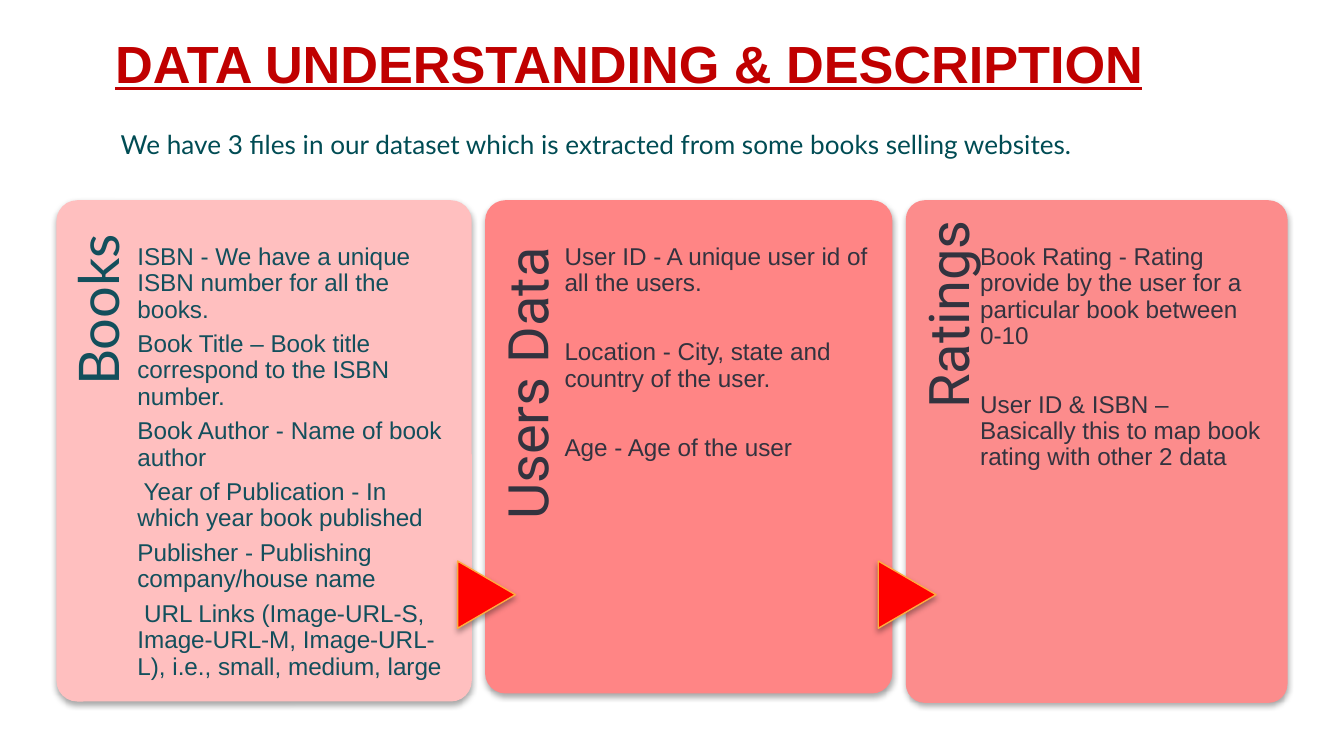
import dataclasses

import lxml.etree
import pptx
import pptx.dml.color
import pptx.enum.shapes
import pptx.enum.text
import pptx.oxml.ns
import pptx.util

SHAPE = pptx.enum.shapes.MSO_SHAPE
ALIGN = pptx.enum.text.PP_ALIGN


@dataclasses.dataclass(frozen=True)
class Theme:
    title: str = "C00000"
    intro: str = "004C54"
    teal: str = "134F5C"
    slate: str = "33333F"
    arrow: str = "FF0000"
    arrow_line: str = "FFAB40"
    title_size: float = 28
    label_size: float = 30
    intro_size: float = 14
    body_size: float = 13


theme = Theme()
presentation = pptx.Presentation()
presentation.slide_width = pptx.util.Inches(10)
presentation.slide_height = presentation.slide_width * 9 // 16
slide = presentation.slides.add_slide(presentation.slide_layouts[5])

# Square grid: one cell is a hundredth of the slide's width
cell = presentation.slide_width / 100


def write_text(shape, paragraphs, box, *, size, color, font="Arial", bold=None,
               underline=None, align=ALIGN.LEFT, spacing=None, after=0,
               insets=(1, 0.5, 1, 0.5)):
    """Place a text shape on the grid and fill it with formatted paragraphs."""
    shape.left, shape.top, shape.width, shape.height = (int(n * cell) for n in box)
    frame = shape.text_frame
    frame.word_wrap = True
    frame.auto_size = pptx.enum.text.MSO_AUTO_SIZE.NONE
    frame.vertical_anchor = pptx.enum.text.MSO_ANCHOR.TOP
    (frame.margin_left, frame.margin_top,
     frame.margin_right, frame.margin_bottom) = (int(n * cell) for n in insets)
    for index, text in enumerate(paragraphs):
        paragraph = frame.paragraphs[0] if index == 0 else frame.add_paragraph()
        paragraph.alignment = align
        paragraph.line_spacing = spacing
        paragraph.space_after = pptx.util.Pt(after)
        run = paragraph.add_run()
        run.text = text
        run.font.name = font
        run.font.size = pptx.util.Pt(size)
        run.font.bold = bold
        run.font.underline = underline
        run.font.color.rgb = pptx.dml.color.RGBColor.from_string(color)


def add_shadowed_shape(kind, box, fill):
    """Add a filled, borderless shape with a soft shadow below it."""
    shape = slide.shapes.add_shape(kind, *(int(n * cell) for n in box))
    shape.fill.solid()
    shape.fill.fore_color.rgb = pptx.dml.color.RGBColor.from_string(fill)
    shape.line.fill.background()
    shape.shadow.inherit = False
    effects = shape._element.spPr.find(pptx.oxml.ns.qn("a:effectLst"))
    shadow = lxml.etree.SubElement(
        effects, pptx.oxml.ns.qn("a:outerShdw"), blurRad=str(pptx.util.Pt(3.1)),
        dist=str(pptx.util.Pt(1.8)), dir="5400000", rotWithShape="0")
    color = lxml.etree.SubElement(shadow, pptx.oxml.ns.qn("a:srgbClr"), val="000000")
    lxml.etree.SubElement(color, pptx.oxml.ns.qn("a:alpha"), val="35000")
    return shape


# Title
write_text(slide.shapes.title, ["DATA UNDERSTANDING & DESCRIPTION"],
           (4.1, 1.3, 85.4, 7.8), size=theme.title_size, color=theme.title,
           bold=True, underline=True, align=ALIGN.CENTER, insets=(1, 1, 1, 1))

# Cards: label, label font, label inset, width, height, fill, text colour,
# space after each paragraph, paragraphs
cards = [
    ("Books", "Lato", 2.5, 30.9, 37.3, "FFBFBF", theme.teal, 4.5, [
        "ISBN - We have a unique ISBN number for all the books.",
        "Book Title – Book title correspond to the ISBN number.",
        "Book Author - Name of book author",
        " Year of Publication - In which year book published",
        "Publisher - Publishing company/house name",
        " URL Links (Image-URL-S, Image-URL-M, Image-URL-L), i.e., small, medium, large",
    ]),
    ("Users Data", "Roboto", 3.5, 30.3, 36.7, "FF8585", theme.slate, 23, [
        "User ID - A unique user id of all the users.",
        "Location - City, state and country of the user.",
        "Age - Age of the user",
    ]),
    ("Ratings", "Roboto", 1.5, 28.4, 37.4, "FC8C8C", theme.slate, 23, [
        "Book Rating - Rating provide by the user for a particular book between 0-10",
        "User ID & ISBN – Basically this to map book rating with other 2 data",
    ]),
]
left, top, gap = 4.2, 14.9, 1
for number, card in enumerate(cards):
    label, font, inset, width, height, fill, color, after, paragraphs = card
    panel = add_shadowed_shape(SHAPE.ROUNDED_RECTANGLE, (left, top, width, height), fill)
    panel.adjustments[0] = 0.05

    # Label turned to read upwards along the card's left fifth
    strip, length = 0.2 * width, 0.82 * height
    label_box = slide.shapes.add_textbox(0, 0, 0, 0)
    write_text(label_box, [label],
               (left + (strip - length) / 2, top + (length - strip) / 2, length, strip),
               size=theme.label_size, color=color, font=font, align=ALIGN.RIGHT,
               spacing=0.9, insets=(0, 1.1, inset, 0))
    label_box.rotation = 270

    # Arrow over the gap from the card before
    if number > 0:
        arrow = add_shadowed_shape(SHAPE.FLOWCHART_EXTRACT,
                                   (left - 2.4, 42.1, 5, 4.3), theme.arrow)
        arrow.rotation = 90
        arrow.line.color.rgb = pptx.dml.color.RGBColor.from_string(theme.arrow_line)
        arrow.line.width = pptx.util.Pt(0.75)

    # Field descriptions
    write_text(slide.shapes.add_textbox(0, 0, 0, 0), paragraphs,
               (left + 0.195 * width, top, 0.745 * width, height),
               size=theme.body_size, color=color, spacing=0.9, after=after,
               insets=(0, 3.3, 0, 0))
    left += width + gap

# Introduction
write_text(slide.shapes.add_textbox(0, 0, 0, 0),
           ["We have 3 files in our dataset which is extracted from some books selling websites."],
           (8, 9.1, 86.2, 3.4), size=theme.intro_size, color=theme.intro, font="Lato")

presentation.save("out.pptx")
